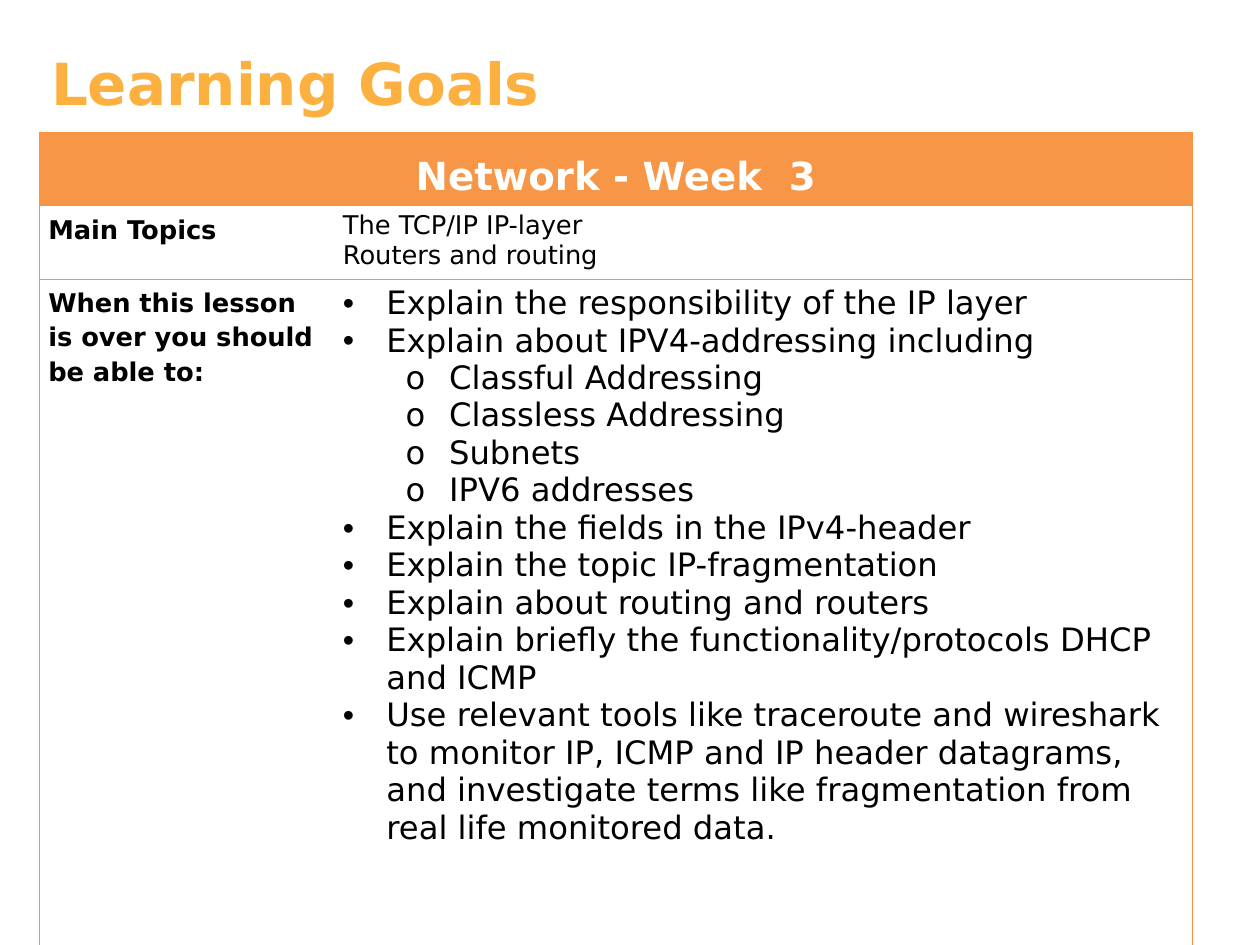
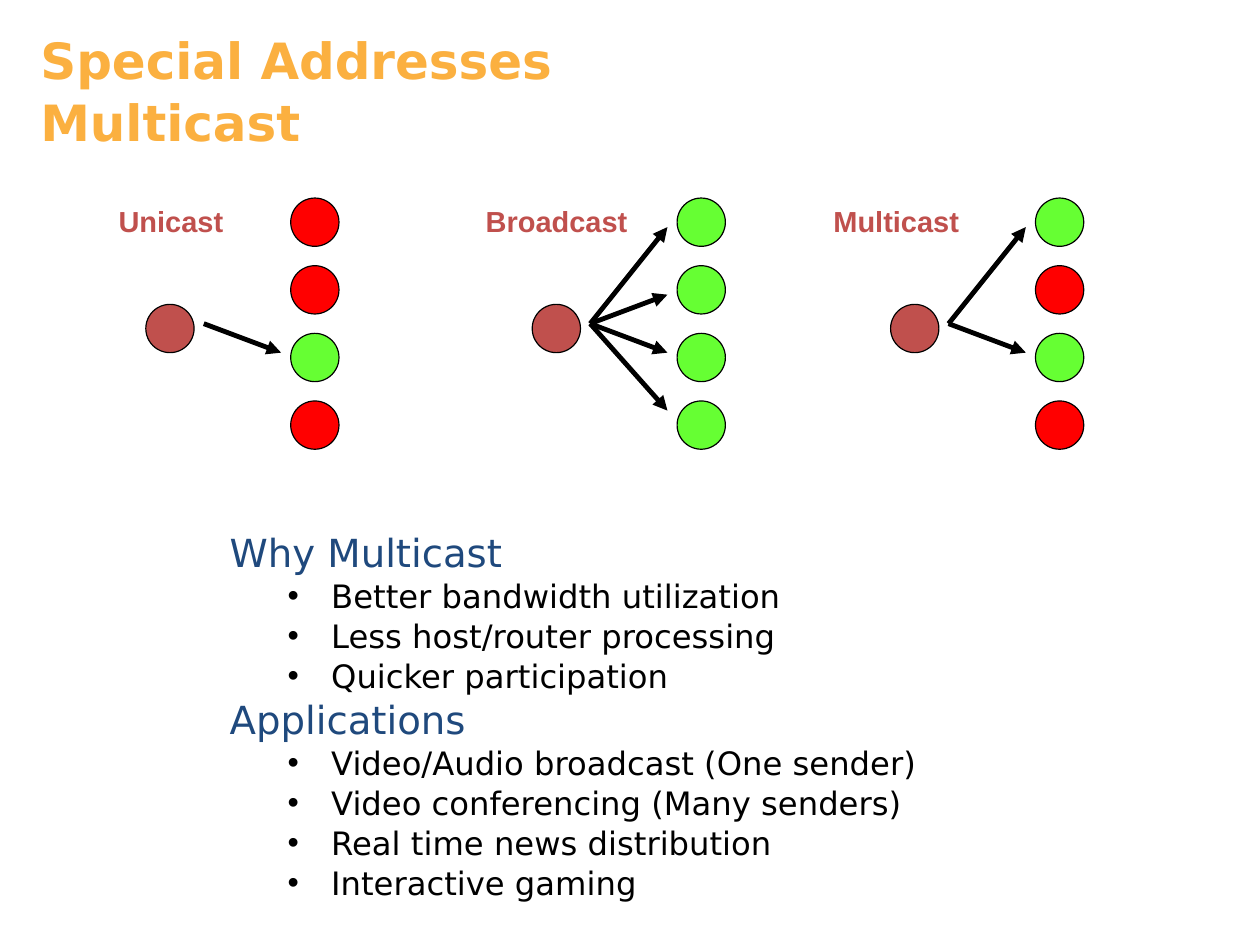
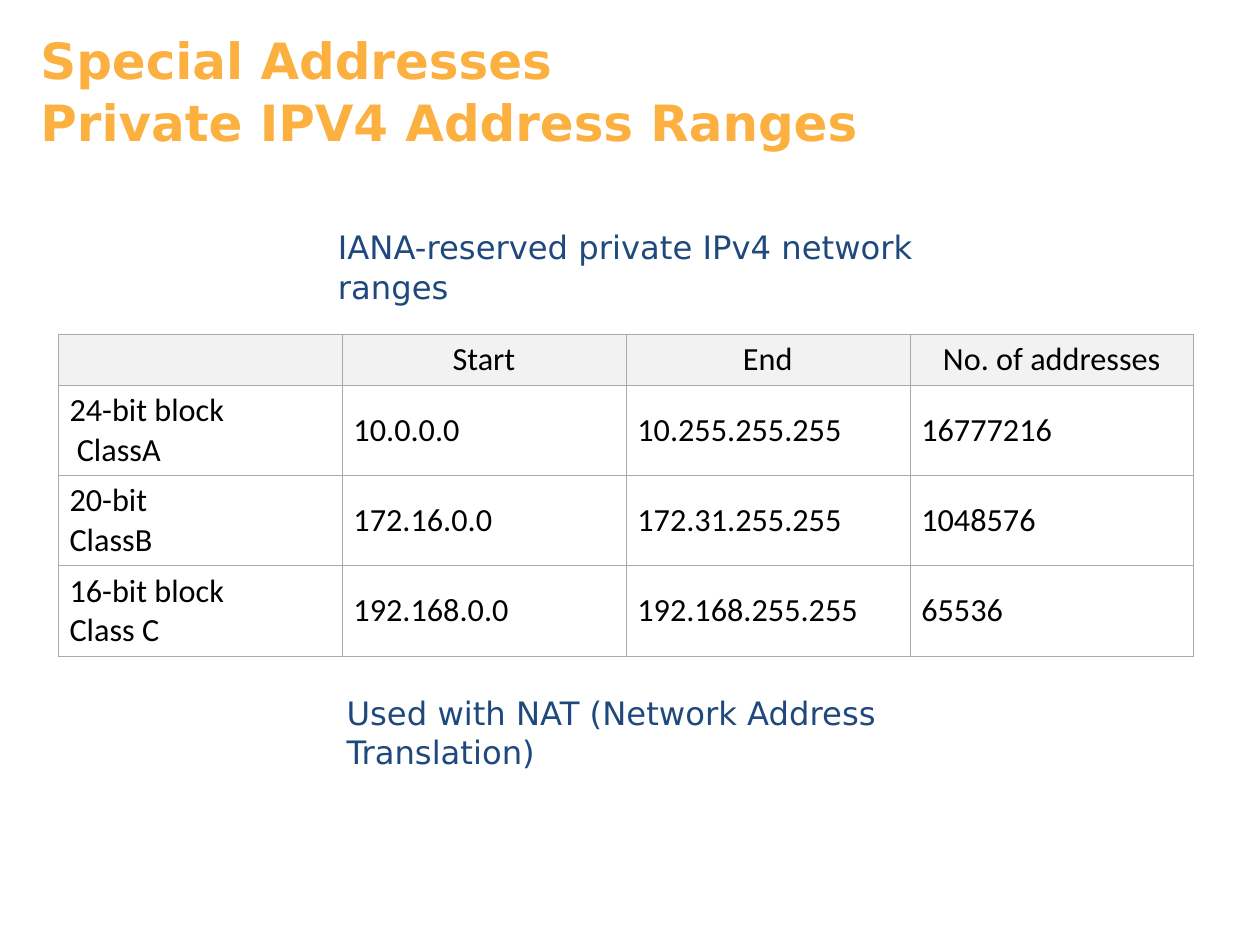
from dataclasses import dataclass, replace
from typing import NamedTuple, Optional

from lxml.etree import SubElement
from pptx import Presentation
from pptx.dml.color import RGBColor
from pptx.enum.shapes import MSO_CONNECTOR, MSO_SHAPE
from pptx.enum.text import MSO_ANCHOR, PP_ALIGN
from pptx.oxml import parse_xml
from pptx.oxml.ns import nsdecls, qn
from pptx.util import Inches, Pt


# Theme: colours, fonts and type sizes
@dataclass(frozen=True)
class Theme:
    gold: str = "FBB040"
    orange: str = "F79646"
    rule: str = "F69240"
    navy: str = "1F497D"
    brick: str = "C0504D"
    red: str = "FF0000"
    green: str = "66FF33"
    black: str = "000000"
    white: str = "FFFFFF"
    pale: str = "F2F2F2"
    grey: str = "AAAAAA"
    sans: str = "DejaVu Sans"
    arial: str = "Arial"
    table: str = "Calibri"
    big: int = 36
    title: int = 31
    head: int = 24
    body: int = 20
    label: int = 18
    small: int = 16
    hair: float = 0.34
    lead: float = 1.03


T = Theme()

# Grid: square cells, twelve to the inch
WIDE, HIGH = 130.44, 97.8


def cell(n: float) -> int:
    return Inches(n / 12)


class Box(NamedTuple):
    x: float
    y: float
    w: float
    h: float

    def place(self) -> tuple:
        return tuple(cell(n) for n in self)


class Mark(NamedTuple):
    char: str
    left: float
    hang: float
    font: str = T.arial


@dataclass(frozen=True)
class Style:
    size: int
    color: str = T.black
    bold: bool = False
    font: str = T.sans
    lead: Optional[float] = None
    align: PP_ALIGN = PP_ALIGN.LEFT
    mark: Optional[Mark] = None


class Line(NamedTuple):
    text: str
    style: Style


# Text styles
TITLE = Style(T.title, T.gold, True, lead=T.lead)
LABEL = Style(T.label, T.brick, True, T.arial)
NOTE = Style(T.body, T.navy, lead=T.lead)
HEAD = replace(NOTE, size=T.head)
ITEM = Style(T.body, lead=T.lead, mark=Mark("•", 10.5, 4.5))
BAND = Style(T.head, T.white, True, lead=1.15, align=PP_ALIGN.CENTER)
SIDE = Style(T.small, bold=True, lead=1.15)
TOPIC = Style(T.small)
GOAL = Style(T.body, mark=Mark("•", 4.5, 4.5))
SUB = Style(T.body, mark=Mark("o", 11, 4.5, T.sans))
DATA = Style(T.body, font=T.table)
TOP = replace(DATA, align=PP_ALIGN.CENTER)


def lines(style: Style, *texts: str) -> list[Line]:
    return [Line(t, style) for t in texts]


# Text
def bullet(para, mark: Mark) -> None:
    props = para._p.get_or_add_pPr()
    props.set("marL", str(cell(mark.left)))
    props.set("indent", str(-cell(mark.hang)))
    tint = SubElement(props, qn("a:buClr"))
    SubElement(tint, qn("a:srgbClr"), val=T.black)
    SubElement(props, qn("a:buFont"), typeface=mark.font)
    SubElement(props, qn("a:buChar"), char=mark.char)


def write(frame, rows: list[Line]) -> None:
    for i, (text, style) in enumerate(rows):
        para = frame.add_paragraph() if i else frame.paragraphs[0]
        if style.mark:
            bullet(para, style.mark)
        para.alignment = style.align
        if style.lead:
            para.line_spacing = style.lead
        run = para.add_run()
        run.text = text
        font = run.font
        font.name, font.size, font.bold = style.font, Pt(style.size), style.bold
        font.color.rgb = RGBColor.from_string(style.color)


def text(slide, box: Box, rows: list[Line]) -> None:
    frame = slide.shapes.add_textbox(*box.place()).text_frame
    frame.word_wrap = True
    write(frame, rows)


def title(slide, *texts: str) -> None:
    text(slide, Box(3, 2.3, 101.2, 9.8), lines(TITLE, *texts))


# Tables
def grid(slide, x: float, y: float, cols: list[float], rows: list[float]):
    box = Box(x, y, sum(cols), sum(rows))
    table = slide.shapes.add_table(len(rows), len(cols), *box.place()).table
    table.first_row = table.horz_banding = False
    for col, w in zip(table.columns, cols):
        col.width = cell(w)
    for row, h in zip(table.rows, rows):
        row.height = cell(h)
    return table


def dress(spot, fill: str, color: str, sides: str = "LRTB") -> None:
    spot.fill.solid()
    spot.fill.fore_color.rgb = RGBColor.from_string(fill)
    props = spot._tc.get_or_add_tcPr()
    solid = f'<a:solidFill><a:srgbClr val="{color}"/></a:solidFill>'
    for i, side in enumerate("LRTB"):
        paint = solid if side in sides else "<a:noFill/>"
        props.insert(i, parse_xml(
            f'<a:ln{side} {nsdecls("a")} w="{Pt(T.hair)}">{paint}</a:ln{side}>'))


# Dots and arrows
def dot(slide, x: float, y: float, color: str) -> None:
    shape = slide.shapes.add_shape(MSO_SHAPE.OVAL, *Box(x, y, 5, 5).place())
    shape.shadow.inherit = False
    shape.fill.solid()
    shape.fill.fore_color.rgb = RGBColor.from_string(color)
    shape.line.color.rgb = RGBColor.from_string(T.black)
    shape.line.width = Pt(0.75)


def arrow(slide, x: float, y: float, x2: float, y2: float) -> None:
    link = slide.shapes.add_connector(
        MSO_CONNECTOR.STRAIGHT, cell(x), cell(y), cell(x2), cell(y2))
    link.line.color.rgb = RGBColor.from_string(T.black)
    link.line.width = Pt(3)
    SubElement(link.line._get_or_add_ln(), qn("a:tailEnd"), type="triangle")
    SubElement(link._element.spPr, qn("a:effectLst"))


class Cast(NamedTuple):
    name: str
    x: float
    tag: float
    hits: tuple[int, ...]


CASTS = [
    Cast("Unicast", 15.1, 11.1, (2,)),
    Cast("Broadcast", 55.1, 49.1, (0, 1, 2, 3)),
    Cast("Multicast", 92.2, 85.1, (0, 2)),
]
TIPS = (23.5, 30.5, 36.5, 42.5)


def draw(slide, cast: Cast) -> None:
    dot(slide, cast.x, 31.5, T.brick)
    for i, tip in enumerate(TIPS):
        hit = i in cast.hits
        dot(slide, cast.x + 15, 20.5 + 7 * i, T.green if hit else T.red)
        if hit:
            arrow(slide, cast.x + 6, 33.5, cast.x + 14, tip)
    text(slide, Box(cast.tag, 20.5, 33, 4.8), lines(LABEL, cast.name))


# Slides
def goals(slide) -> None:
    text(slide, Box(4.1, 4.1, 106.7, 9.8),
         lines(replace(TITLE, size=T.big), "Learning Goals"))
    y, band, row = 13.7, 7.55, 7.25
    table = grid(slide, 4.1, y, [30.5, 88.8],
                 [band, row, HIGH - y - band - row])
    top = table.cell(0, 0)
    top.merge(table.cell(0, 1))
    top.vertical_anchor = MSO_ANCHOR.BOTTOM
    parts = [
        [lines(BAND, "Network - Week  3"), []],
        [lines(SIDE, "Main Topics"),
         lines(TOPIC, "The TCP/IP IP-layer", "Routers and routing")],
        [lines(SIDE, "When this lesson is over you should be able to:"),
         lines(GOAL, "Explain the responsibility of the IP layer",
               "Explain about IPV4-addressing including")
         + lines(SUB, "Classful Addressing", "Classless Addressing",
                 "Subnets", "IPV6 addresses")
         + lines(GOAL, "Explain the fields in the IPv4-header",
                 "Explain the topic IP-fragmentation",
                 "Explain about routing and routers",
                 "Explain briefly the functionality/protocols DHCP and ICMP",
                 "Use relevant tools like traceroute and wireshark to monitor "
                 "IP, ICMP and IP header datagrams, and investigate terms like "
                 "fragmentation from real life monitored data.")],
    ]
    edges = ("LRTB", "TB", "T")
    for r, pair in enumerate(parts):
        for c, rows in enumerate(pair):
            spot = table.cell(r, c)
            spot.margin_left = spot.margin_right = cell(0.9)
            dress(spot, T.white if r else T.orange, T.rule, edges[r] + "LR"[c])
            write(spot.text_frame, rows)


def multi(slide) -> None:
    title(slide, "Special Addresses", "Multicast")
    for cast in CASTS:
        draw(slide, cast)
    text(slide, Box(22.6, 54, 90.8, 38.9),
         lines(HEAD, "Why Multicast")
         + lines(ITEM, "Better bandwidth utilization",
                 "Less host/router processing", "Quicker participation")
         + lines(HEAD, "Applications")
         + lines(ITEM, "Video/Audio broadcast (One sender)",
                 "Video conferencing (Many senders)",
                 "Real time news distribution", "Interactive gaming"))


def ranges(slide) -> None:
    title(slide, "Special Addresses", "Private IPV4 Address Ranges")
    data = [
        [(), ("Start",), ("End",), ("No. of addresses",)],
        [("24-bit block", " ClassA"), ("10.0.0.0",),
         ("10.255.255.255",), ("16777216",)],
        [("20-bit", "ClassB"), ("172.16.0.0",),
         ("172.31.255.255",), ("1048576",)],
        [("16-bit block", "Class C"), ("192.168.0.0",),
         ("192.168.255.255",), ("65536",)],
    ]
    table = grid(slide, 6, 34.6, [29.4] * 4, [5.25] + [9.35] * 3)
    for r, row in enumerate(data):
        for c, texts in enumerate(row):
            spot = table.cell(r, c)
            spot.vertical_anchor = MSO_ANCHOR.MIDDLE
            dress(spot, T.white if r else T.pale, T.grey)
            write(spot.text_frame, lines(DATA if r else TOP, *texts))
    text(slide, Box(33.8, 22.8, 70.2, 5.3),
         lines(NOTE, "IANA-reserved private IPv4 network ranges"))
    text(slide, Box(34.7, 71, 73.8, 5.3),
         lines(NOTE, "Used with NAT (Network Address Translation)"))


def main() -> None:
    deck = Presentation()
    deck.slide_width, deck.slide_height = cell(WIDE), cell(HIGH)
    for build in (goals, multi, ranges):
        build(deck.slides.add_slide(deck.slide_layouts[6]))
    deck.save("out.pptx")


if __name__ == "__main__":
    main()
